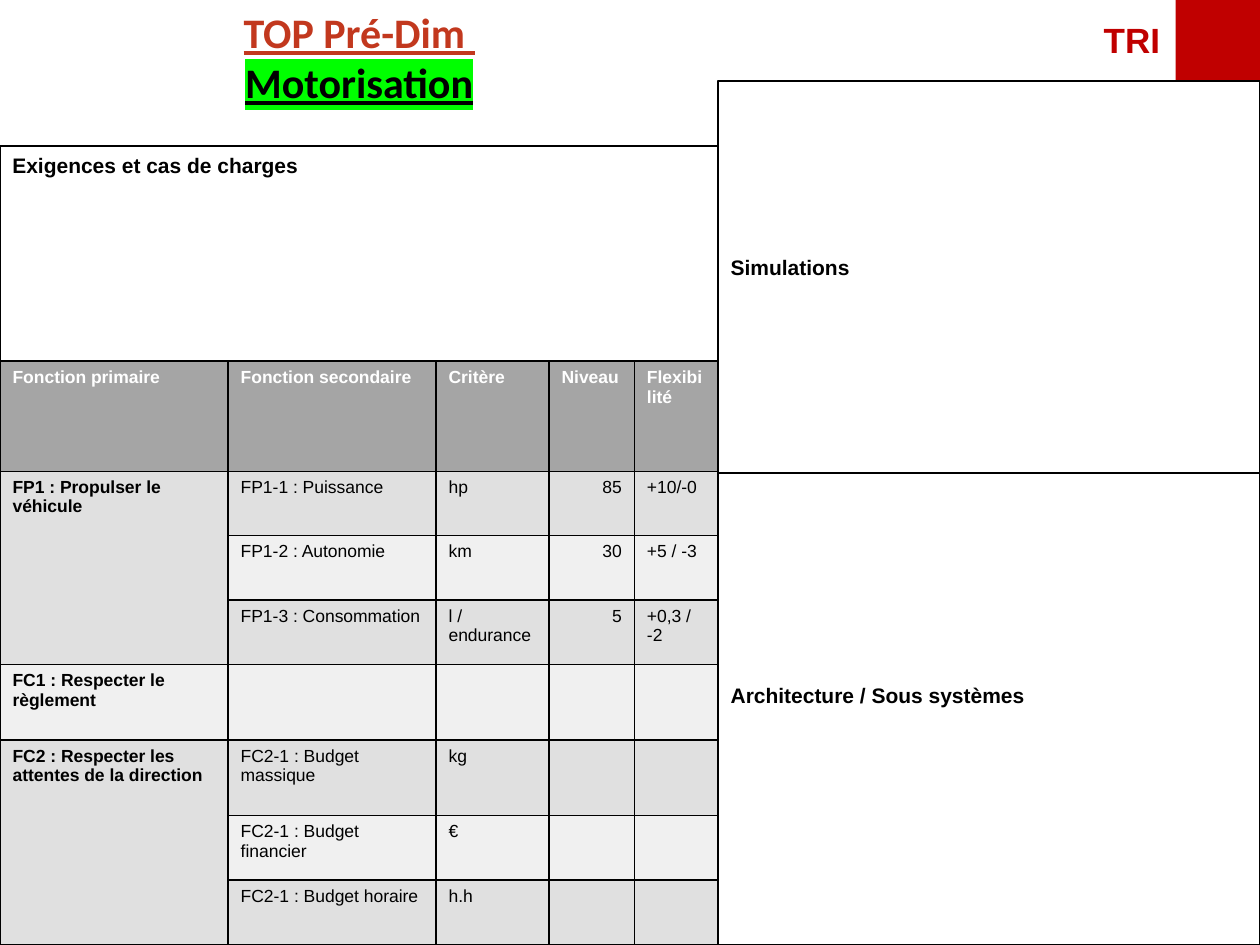
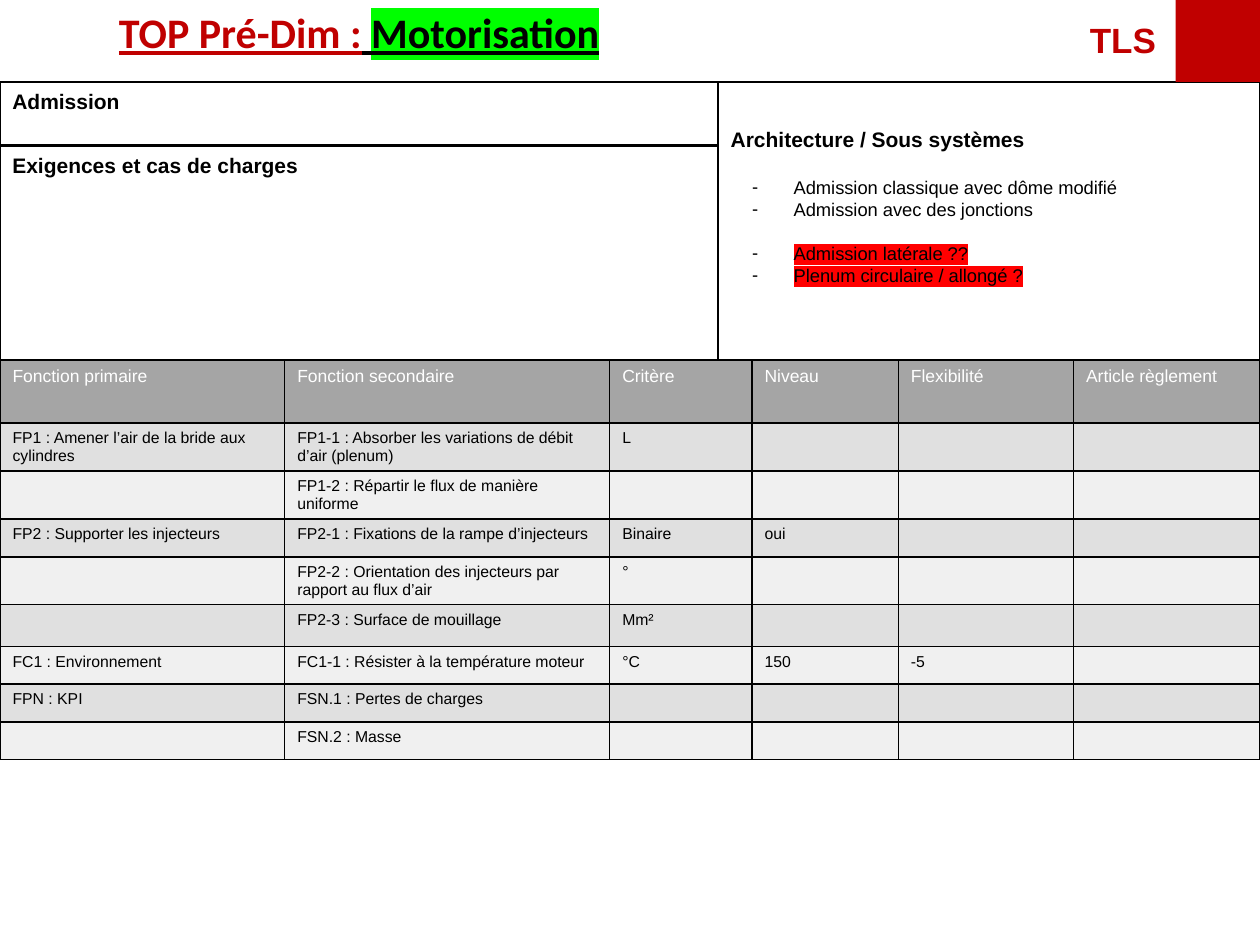
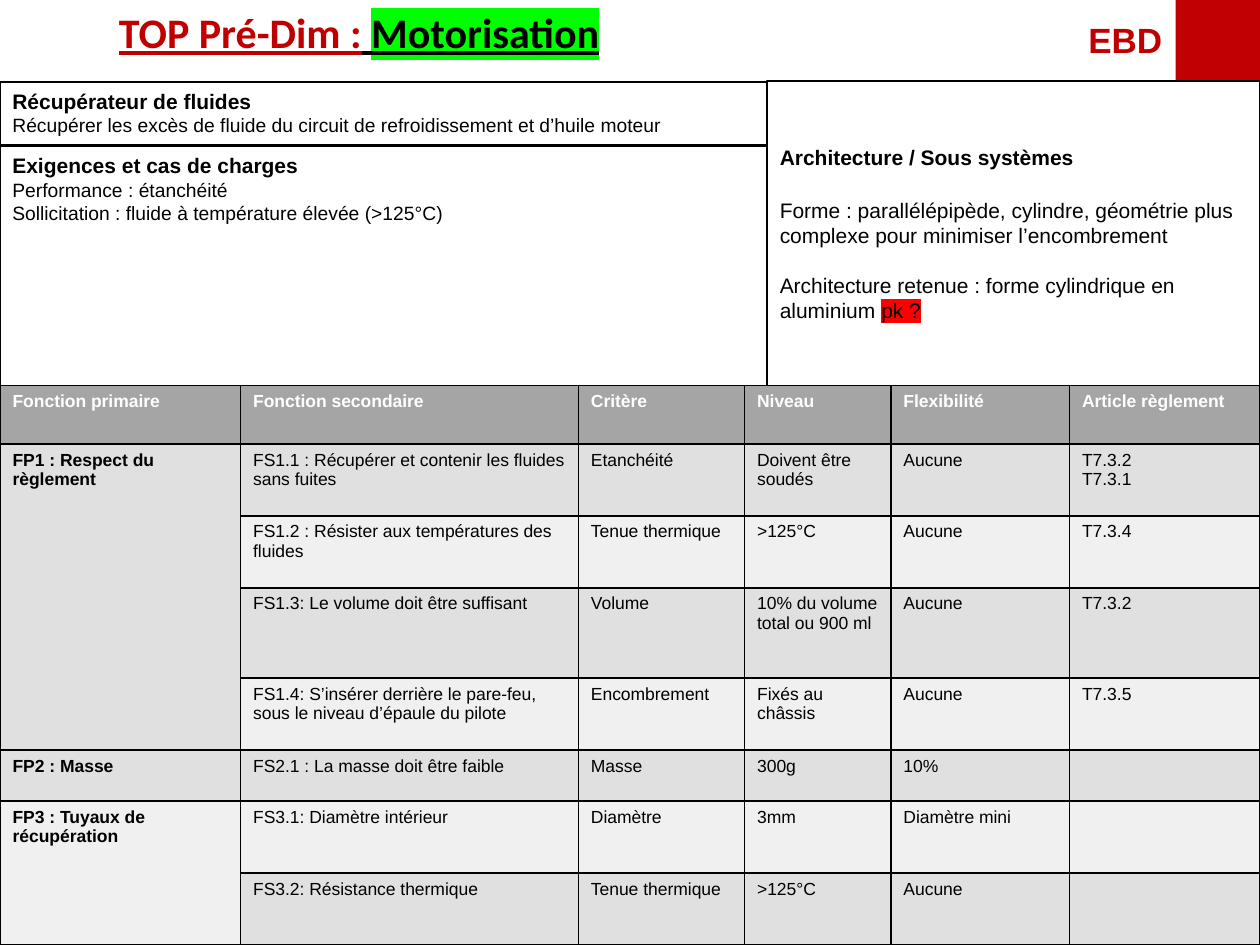
from dataclasses import dataclass
from typing import NamedTuple, Optional

from lxml.etree import SubElement
from pptx import Presentation
from pptx.dml.color import RGBColor
from pptx.enum.shapes import MSO_SHAPE
from pptx.enum.text import MSO_ANCHOR, MSO_AUTO_SIZE, PP_ALIGN
from pptx.oxml.ns import qn
from pptx.util import Cm, Pt

COLORS = {
    "black": "000000",
    "white": "FFFFFF",
    "red": "C00000",
    "brick": "C2381E",
    "lime": "00FF00",
    "alert": "FF0000",
    "header": "A5A5A5",
    "odd": "E0E0E0",
    "even": "F0F0F0",
}
WIDTH, HEIGHT = 25.4, 19.05
BADGE_LEFT, BADGE_HEIGHT = 23.7, 1.65
TITLE_WIDTH = 14.48
INSET = 0.13
BULLET_MARGIN, BULLET_HANG = 1.27, 0.84


class Span(NamedTuple):
    text: str
    size: float = 10
    bold: bool = False
    color: str = "black"
    highlight: Optional[str] = None
    underline: bool = False
    font: str = "Arial"


class Para(NamedTuple):
    spans: list[Span]
    before: float = 0
    bulleted: bool = False
    align: PP_ALIGN = PP_ALIGN.LEFT


class Box(NamedTuple):
    left: float
    top: float
    width: float
    height: float


@dataclass
class Panel:
    box: Box
    paras: list[Para]
    anchor: MSO_ANCHOR = MSO_ANCHOR.TOP
    bottom_inset: float = INSET
    is_body: bool = False


@dataclass
class Requirements:
    top: float
    widths: list[float]
    heights: list[float]
    rows: list[list[Optional[str]]]
    size: float = 10
    bold_labels: bool = True
    right_aligned: tuple[int, ...] = ()


@dataclass
class Sheet:
    team: str
    team_width: float
    title: list[Para]
    title_height: float
    panels: list[Panel]
    requirements: Requirements


def rgb(color: str) -> RGBColor:
    return RGBColor.from_string(COLORS[color])


def write_para(paragraph, para: Para) -> None:
    props = paragraph._p.get_or_add_pPr()
    if para.bulleted:
        props.set("marL", str(Cm(BULLET_MARGIN)))
        props.set("indent", str(-Cm(BULLET_HANG)))
        SubElement(props, qn("a:buChar")).set("char", "-")
    else:
        props.set("marL", "0")
        props.set("indent", "0")
        SubElement(props, qn("a:buNone"))
    paragraph.alignment = para.align
    paragraph.space_before = Pt(para.before)
    for span in para.spans:
        run = paragraph.add_run()
        run.text = span.text
        font = run.font
        font.size, font.bold, font.underline = Pt(span.size), span.bold, span.underline
        font.color.rgb = rgb(span.color)
        if span.highlight:
            run_props = run._r.get_or_add_rPr()
            highlight = SubElement(run_props, qn("a:highlight"))
            SubElement(highlight, qn("a:srgbClr")).set("val", COLORS[span.highlight])
        font.name = span.font


def write_text(frame, paras: list[Para]) -> None:
    for index, para in enumerate(paras):
        write_para(frame.add_paragraph() if index else frame.paragraphs[0], para)


def prepare_frame(frame, anchor: MSO_ANCHOR = MSO_ANCHOR.TOP, bottom: float = INSET) -> None:
    frame.auto_size = MSO_AUTO_SIZE.NONE
    frame.word_wrap = True
    frame.vertical_anchor = anchor
    frame.margin_left = frame.margin_right = Cm(0.25)
    frame.margin_top, frame.margin_bottom = Cm(INSET), Cm(bottom)


def place(shape, box: Box) -> None:
    shape.left, shape.top, shape.width, shape.height = map(Cm, box)


def add_rectangle(slide, box: Box):
    rectangle = slide.shapes.add_shape(MSO_SHAPE.RECTANGLE, *map(Cm, box))
    rectangle.shadow.inherit = False
    return rectangle


def draw_header(slide, sheet: Sheet) -> None:
    title = slide.shapes.title
    place(title, Box(0, 0, TITLE_WIDTH, sheet.title_height))
    prepare_frame(title.text_frame)
    write_text(title.text_frame, sheet.title)

    badge = add_rectangle(slide, Box(BADGE_LEFT, 0, WIDTH - BADGE_LEFT, BADGE_HEIGHT))
    badge.fill.solid()
    badge.fill.fore_color.rgb = rgb("red")
    badge.line.fill.background()

    team_box = Box(BADGE_LEFT - sheet.team_width, 0.25, sheet.team_width, 1.12)
    team = slide.shapes.add_textbox(*map(Cm, team_box))
    prepare_frame(team.text_frame)
    team.text_frame.word_wrap = False
    write_text(team.text_frame, [Para([Span(sheet.team, 20, True, "red")])])


def draw_panel(slide, panel: Panel) -> None:
    if panel.is_body:
        shape = slide.placeholders[1]
        place(shape, panel.box)
    else:
        shape = add_rectangle(slide, panel.box)
    shape.fill.background()
    shape.line.color.rgb = rgb("black")
    shape.line.width = Pt(1)
    prepare_frame(shape.text_frame, panel.anchor, panel.bottom_inset)
    write_text(shape.text_frame, panel.paras)


def border_cell(cell) -> None:
    props = cell._tc.get_or_add_tcPr()
    for index, side in enumerate(("lnL", "lnR", "lnT", "lnB")):
        line = props.makeelement(qn(f"a:{side}"), {"w": str(Pt(1))})
        fill = SubElement(line, qn("a:solidFill"))
        SubElement(fill, qn("a:srgbClr")).set("val", COLORS["black"])
        props.insert(index, line)


def write_cell(cell, text: Optional[str], style: Span, align: PP_ALIGN) -> None:
    if text:
        write_text(cell.text_frame, [Para([style._replace(text=line)], align=align) for line in text.split("\n")])
    else:
        end = SubElement(cell.text_frame.paragraphs[0]._p, qn("a:endParaRPr"))
        end.set("sz", str(int(style.size * 100)))


def draw_requirements(slide, req: Requirements) -> None:
    box = Box(0, req.top, sum(req.widths), sum(req.heights))
    table = slide.shapes.add_table(len(req.heights), len(req.widths), *map(Cm, box)).table
    for column, width in zip(table.columns, req.widths):
        column.width = Cm(width)
    for row, height in zip(table.rows, req.heights):
        row.height = Cm(height)
    headings = ["Fonction primaire", "Fonction secondaire", "Critère", "Niveau", "Flexibilité", "Article règlement"]
    group_start = 0
    for r, texts in enumerate([headings[: len(req.widths)]] + req.rows):
        shade = "header" if r == 0 else "odd" if r % 2 else "even"
        for c, text in enumerate(texts):
            cell = table.cell(r, c)
            cell.fill.solid()
            cell.fill.fore_color.rgb = rgb(shade)
            border_cell(cell)
            bold = req.bold_labels and (r == 0 or c == 0)
            style = Span("", 10, bold, "white") if r == 0 else Span("", req.size, bold)
            align = PP_ALIGN.RIGHT if r and c in req.right_aligned else PP_ALIGN.LEFT
            write_cell(cell, text, style, align)
        if texts[0] is not None:
            group_start = r
        elif r + 1 == len(req.heights) or req.rows[r][0] is not None:
            table.cell(group_start, 0).merge(table.cell(r, 0))


def heading(text: str) -> Para:
    return Para([Span(text, 12, True)])


def plain(text: str, size: float = 11, before: float = 0) -> Para:
    return Para([Span(text, size)], before)


def bullet(text: str, before: float = 0, highlight: Optional[str] = None) -> Para:
    return Para([Span(text, 10.5, highlight=highlight)], before, True)


def title_span(text: str, color: str = "black", highlight: Optional[str] = None) -> Span:
    return Span(text, 24, True, color, highlight, True, "Calibri")


SUBJECT = title_span("Motorisation", highlight="lime")
ONE_LINE_TITLE = [
    Para([title_span("TOP Pré-Dim :", "red"), title_span(" "), SUBJECT], align=PP_ALIGN.CENTER)
]
LOADS = heading("Exigences et cas de charges")
ARCHITECTURE = heading("Architecture / Sous systèmes")

SHEETS = [
    Sheet(
        "TRI", 1.7,
        [Para([span], align=PP_ALIGN.CENTER) for span in (title_span("TOP Pré-Dim ", "brick"), SUBJECT)],
        2.11,
        [
            Panel(Box(0, 2.95, 14.48, 4.32), [LOADS]),
            Panel(Box(14.48, 1.63, 10.92, 7.9), [heading("Simulations")], MSO_ANCHOR.MIDDLE, 0.53),
            Panel(Box(14.48, 9.53, 10.92, 9.52), [ARCHITECTURE], MSO_ANCHOR.MIDDLE, 0.7),
        ],
        Requirements(
            7.29,
            [4.6, 4.19, 2.28, 1.72, 1.69],
            [2.21, 1.3, 1.3, 1.3, 1.52, 1.52, 1.3, 1.3],
            [
                ["FP1 : Propulser le véhicule", "FP1-1 : Puissance", "hp", "85", "+10/-0"],
                [None, "FP1-2 : Autonomie", "km", "30", "+5 / -3"],
                [None, "FP1-3 : Consommation", "l / endurance", "5", "+0,3 / -2"],
                ["FC1 : Respecter le règlement", "", "", "", ""],
                ["FC2 : Respecter les attentes de la direction", "FC2-1 : Budget massique", "kg", "", ""],
                [None, "FC2-1 : Budget financier", "€", "", ""],
                [None, "FC2-1 : Budget horaire", "h.h", "", ""],
            ],
            right_aligned=(3,),
        ),
    ),
    Sheet(
        "TLS", 1.98, ONE_LINE_TITLE, 1.27,
        [
            Panel(Box(0, 1.65, 14.48, 1.27), [heading("Admission")]),
            Panel(Box(0, 2.95, 14.48, 4.83), [LOADS]),
            Panel(
                Box(14.48, 1.65, 10.92, 5.6),
                [
                    ARCHITECTURE,
                    bullet("Admission classique avec dôme modifié", 14),
                    bullet("Admission avec des jonctions"),
                    bullet("Admission latérale ??", 12.5, "alert"),
                    bullet("Plenum circulaire / allongé ?", highlight="alert"),
                ],
                MSO_ANCHOR.MIDDLE, 0.7, True,
            ),
        ],
        Requirements(
            7.26,
            [5.74, 6.55, 2.87, 2.95, 3.53, 3.76],
            [1.27, 0.76, 0.76, 0.76, 0.76, 0.84, 0.76, 0.76, 0.76],
            [
                ["FP1 : Amener l’air de la bride aux cylindres",
                 "FP1-1 : Absorber les variations de débit d’air (plenum)", "L", "", "", ""],
                ["", "FP1-2 : Répartir le flux de manière uniforme", "", "", "", ""],
                ["FP2 : Supporter les injecteurs", "FP2-1 : Fixations de la rampe d’injecteurs",
                 "Binaire", "oui", "", ""],
                ["", "FP2-2 : Orientation des injecteurs par rapport au flux d’air", "°", "", "", ""],
                ["", "FP2-3 : Surface de mouillage", "Mm²", "", "", ""],
                ["FC1 : Environnement", "FC1-1 : Résister à la température moteur", "°C", "150", "-5", ""],
                ["FPN : KPI", "FSN.1 : Pertes de charges", "", "", "", ""],
                ["", "FSN.2 : Masse", "", "", "", ""],
            ],
            size=9,
            bold_labels=False,
        ),
    ),
    Sheet(
        "EBD", 2.01, ONE_LINE_TITLE, 1.27,
        [
            Panel(
                Box(0, 1.65, 15.47, 1.27),
                [
                    heading("Récupérateur de fluides"),
                    plain("Récupérer les excès de fluide du circuit de refroidissement et d’huile moteur"),
                ],
            ),
            Panel(
                Box(0, 2.95, 15.47, 4.83),
                [
                    LOADS,
                    plain("Performance : étanchéité"),
                    plain("Sollicitation : fluide à température élevée (>125°C)"),
                ],
            ),
            Panel(
                Box(15.47, 1.63, 9.93, 6.15),
                [
                    ARCHITECTURE,
                    plain("Forme : parallélépipède, cylindre, géométrie plus complexe "
                          "pour minimiser l’encombrement", 12, 16),
                    Para([Span("Architecture retenue : forme cylindrique en aluminium ", 12),
                          Span("pk ?", 12, highlight="alert")], 14),
                ],
                MSO_ANCHOR.MIDDLE,
            ),
        ],
        Requirements(
            7.77,
            [4.85, 6.81, 3.35, 2.95, 3.6, 3.84],
            [1.18, 1.45, 1.45, 1.82, 1.45, 1.03, 1.45, 1.45],
            [
                ["FP1 : Respect du règlement", "FS1.1 : Récupérer et contenir les fluides sans fuites",
                 "Etanchéité", "Doivent être soudés", "Aucune", "T7.3.2\nT7.3.1"],
                [None, "FS1.2 : Résister aux températures des fluides",
                 "Tenue thermique", ">125°C", "Aucune", "T7.3.4"],
                [None, "FS1.3: Le volume doit être suffisant",
                 "Volume", "10% du volume total ou 900 ml", "Aucune", "T7.3.2"],
                [None, "FS1.4: S’insérer derrière le pare-feu, sous le niveau d’épaule du pilote",
                 "Encombrement", "Fixés au châssis", "Aucune", "T7.3.5"],
                ["FP2 : Masse", "FS2.1 : La masse doit être faible", "Masse", "300g", "10%", ""],
                ["FP3 : Tuyaux de récupération", "FS3.1: Diamètre intérieur",
                 "Diamètre", "3mm", "Diamètre mini", ""],
                [None, "FS3.2: Résistance thermique", "Tenue thermique", ">125°C", "Aucune", ""],
            ],
        ),
    ),
]


def main() -> None:
    deck = Presentation()
    deck.slide_width, deck.slide_height = Cm(WIDTH), Cm(HEIGHT)
    for sheet in SHEETS:
        has_body = any(panel.is_body for panel in sheet.panels)
        slide = deck.slides.add_slide(deck.slide_layouts[1 if has_body else 5])
        draw_header(slide, sheet)
        for panel in sheet.panels:
            draw_panel(slide, panel)
        draw_requirements(slide, sheet.requirements)
    deck.save("out.pptx")


if __name__ == "__main__":
    main()
